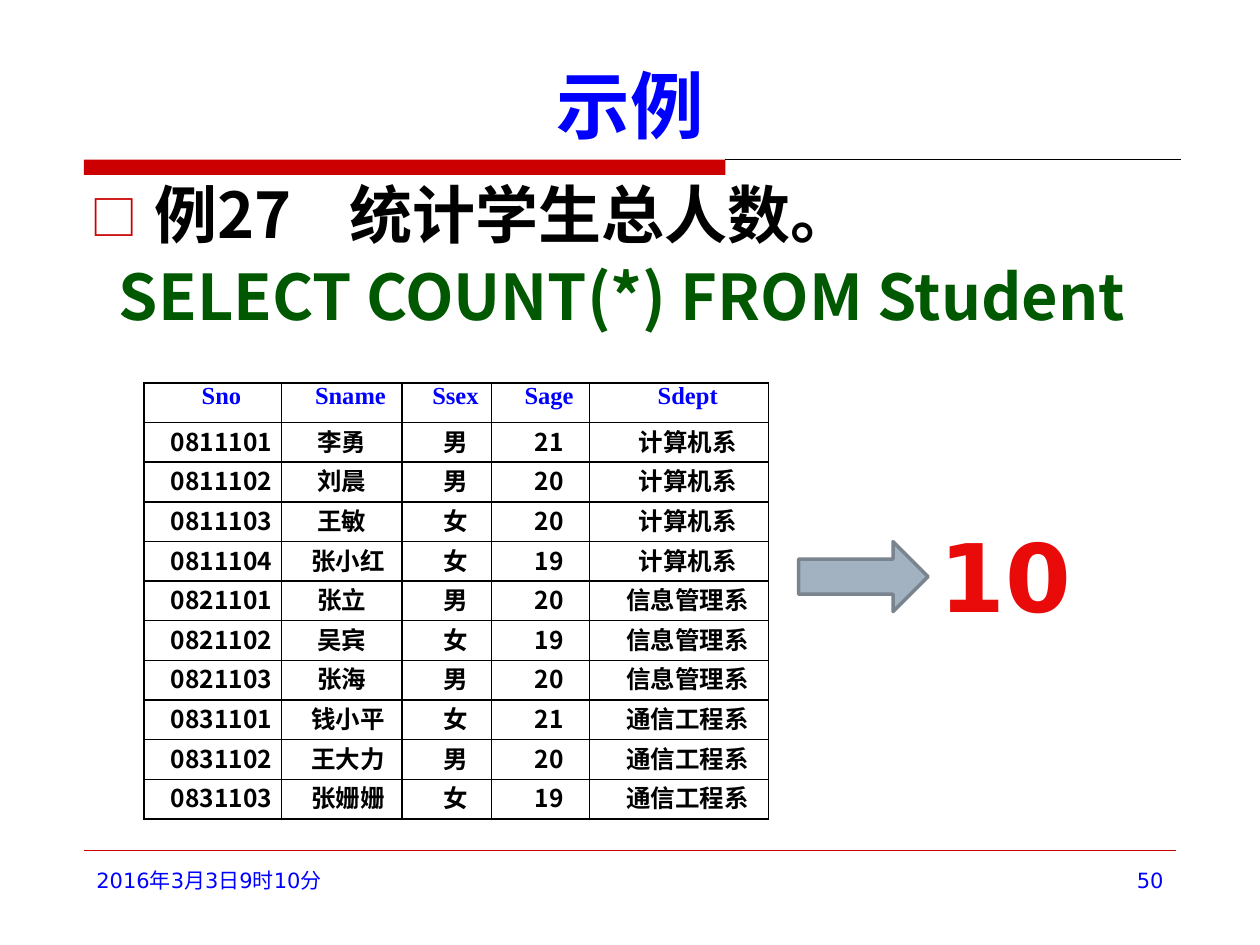
from lxml.etree import SubElement
from pptx import Presentation
from pptx.dml.color import RGBColor
from pptx.enum.shapes import MSO_CONNECTOR, MSO_SHAPE
from pptx.enum.text import MSO_ANCHOR, PP_ALIGN
from pptx.oxml.ns import qn
from pptx.util import Pt

RED = RGBColor(0xCC, 0x00, 0x00)
BRIGHT_RED = RGBColor(0xE9, 0x0A, 0x0A)
BLUE = RGBColor(0x00, 0x00, 0xFF)
GREEN = RGBColor(0x00, 0x58, 0x00)
BLACK = RGBColor(0x00, 0x00, 0x00)
ARROW_FILL = RGBColor(0xA3, 0xB2, 0xC1)
ARROW_LINE = RGBColor(0x79, 0x84, 0x8F)
NOTO, TIMES, DEJAVU = "Noto Sans CJK SC", "Times New Roman", "DejaVu Sans"

HEADERS = ["Sno", "Sname", "Ssex", "Sage", "Sdept"]
STUDENTS = [
    ["0811101", "李勇", "男", "21", "计算机系"],
    ["0811102", "刘晨", "男", "20", "计算机系"],
    ["0811103", "王敏", "女", "20", "计算机系"],
    ["0811104", "张小红", "女", "19", "计算机系"],
    ["0821101", "张立", "男", "20", "信息管理系"],
    ["0821102", "吴宾", "女", "19", "信息管理系"],
    ["0821103", "张海", "男", "20", "信息管理系"],
    ["0831101", "钱小平", "女", "21", "通信工程系"],
    ["0831102", "王大力", "男", "20", "通信工程系"],
    ["0831103", "张姗姗", "女", "19", "通信工程系"],
]
COLUMN_WIDTHS = [78.5, 69, 51, 56, 102.5]
ROW_HEIGHT = 22.65
CELL_INDENT = 10


class SlideBuilder:
    def __init__(self, slide):
        self.slide = slide
        self.shapes = slide.shapes

    def add_text(self, para, text, color, align=PP_ALIGN.LEFT, **font):
        para.alignment = align
        span = para.add_run()
        span.text = text
        for name, value in font.items():
            setattr(span.font, name, value)
        span.font.color.rgb = color
        east_asian = SubElement(span.font._element, qn("a:ea"))
        east_asian.set("typeface", NOTO)

    def indent(self, para, left, first):
        properties = para._p.get_or_add_pPr()
        properties.set("marL", str(Pt(left)))
        properties.set("indent", str(Pt(first)))
        return properties

    def text_box(self, left, top, width, height, anchor=MSO_ANCHOR.TOP, wrap=True):
        box = self.shapes.add_textbox(Pt(left), Pt(top), Pt(width), Pt(height))
        box.text_frame.word_wrap = wrap
        box.text_frame.vertical_anchor = anchor
        return box.text_frame

    def bullet(self, para, tab):
        properties = self.indent(para, 36.7, -36.7)
        color = SubElement(properties, qn("a:buClr"))
        SubElement(color, qn("a:srgbClr")).set("val", str(RED))
        for tag, name, value in [("a:buSzPct", "val", "75000"),
                                 ("a:buFont", "typeface", NOTO),
                                 ("a:buChar", "char", "□")]:
            SubElement(properties, qn(tag)).set(name, value)
        tabs = SubElement(properties, qn("a:tabLst"))
        stop = SubElement(tabs, qn("a:tab"))
        stop.set("pos", str(Pt(tab)))
        stop.set("algn", "l")

    def line(self, left, right, y, color, width):
        rule = self.shapes.add_connector(MSO_CONNECTOR.STRAIGHT, Pt(left), Pt(y), Pt(right), Pt(y))
        rule.line.color.rgb = color
        rule.line.width = Pt(width)
        SubElement(rule._element.spPr, qn("a:effectLst"))

    def shape(self, kind, left, top, width, height, fill, outline=None):
        shape = self.shapes.add_shape(kind, Pt(left), Pt(top), Pt(width), Pt(height))
        shape.shadow.inherit = False
        shape.fill.solid()
        shape.fill.fore_color.rgb = fill
        if outline is None:
            shape.line.fill.background()
        else:
            shape.line.color.rgb = outline
            shape.line.width = Pt(2)

    def cell_borders(self, cell):
        properties = cell._tc.get_or_add_tcPr()
        for position, side in enumerate(("a:lnL", "a:lnR", "a:lnT", "a:lnB")):
            border = SubElement(properties, qn(side))
            border.set("w", str(Pt(1)))
            fill = SubElement(border, qn("a:solidFill"))
            SubElement(fill, qn("a:srgbClr")).set("val", str(BLACK))
            properties.insert(position, border)

    def table(self, left, top, rows):
        frame = self.shapes.add_table(len(rows), len(COLUMN_WIDTHS), Pt(left), Pt(top),
                                      Pt(sum(COLUMN_WIDTHS)), Pt(ROW_HEIGHT * len(rows)))
        table = frame.table
        table.first_row = table.horz_banding = False
        for column, width in zip(table.columns, COLUMN_WIDTHS):
            column.width = Pt(width)
        for row_index, values in enumerate(rows):
            table.rows[row_index].height = Pt(ROW_HEIGHT)
            for column_index, text in enumerate(values):
                cell = table.cell(row_index, column_index)
                cell.fill.background()
                cell.margin_left = cell.margin_right = Pt(5)
                cell.margin_top = cell.margin_bottom = Pt(0)
                self.cell_borders(cell)
                first = CELL_INDENT
                if row_index and column_index == 1:
                    first = 0 if len(text) == 2 else 7
                para = cell.text_frame.paragraphs[0]
                self.indent(para, 0, first)
                self.add_text(para, text, BLACK if row_index else BLUE, PP_ALIGN.CENTER,
                              size=Pt(14), bold=True,
                              name=NOTO if row_index and text.isdigit() else TIMES)


def main():
    deck = Presentation()
    deck.slide_width, deck.slide_height = Pt(720), Pt(540)
    page = SlideBuilder(deck.slides.add_slide(deck.slide_layouts[6]))

    # Rules of the page frame
    page.shape(MSO_SHAPE.RECTANGLE, 48, 91.2, 366.5, 8.8, RED)
    page.line(414.5, 674.7, 91.2, BLACK, 0.5)
    page.line(48, 672, 486, RED, 0.25)

    # Title
    title = page.text_box(45, 24, 630, 64.5, MSO_ANCHOR.BOTTOM)
    page.add_text(title.paragraphs[0], "示例", BLUE, PP_ALIGN.CENTER,
                  size=Pt(42), bold=True, name=NOTO)

    # Task and query
    body = page.text_box(44.6, 100.1, 630, 124.6)
    task, query = body.paragraphs[0], body.add_paragraph()
    for para in (task, query):
        para.line_spacing = 0.95
    query.space_before = Pt(5.8)
    page.bullet(task, 148.2)
    page.indent(query, 16.3, 0)
    heading_font = {"size": Pt(36), "bold": True, "name": NOTO}
    page.add_text(task, "例27\t统计学生总人数。", BLACK, **heading_font)
    page.add_text(query, "SELECT COUNT(*) FROM Student", GREEN, **heading_font)

    # Student table, arrow and result
    page.table(82.3, 218.8, [HEADERS] + STUDENTS)
    page.shape(MSO_SHAPE.RIGHT_ARROW, 456.3, 309.5, 74, 40, ARROW_FILL, ARROW_LINE)
    result = page.text_box(528.5, 292.3, 92.2, 72.7, wrap=False)
    page.add_text(result.paragraphs[0], "10", BRIGHT_RED, PP_ALIGN.CENTER,
                  size=Pt(54), bold=True, name=DEJAVU)

    # Footer
    for left, width, text, align in [(48, 159, "2016年3月3日9时10分", PP_ALIGN.LEFT),
                                     (516, 156, "50", PP_ALIGN.RIGHT)]:
        footer = page.text_box(left, 492, width, 37.5)
        page.add_text(footer.paragraphs[0], text, BLUE, align, size=Pt(12), name=DEJAVU)

    deck.save("out.pptx")


if __name__ == "__main__":
    main()
